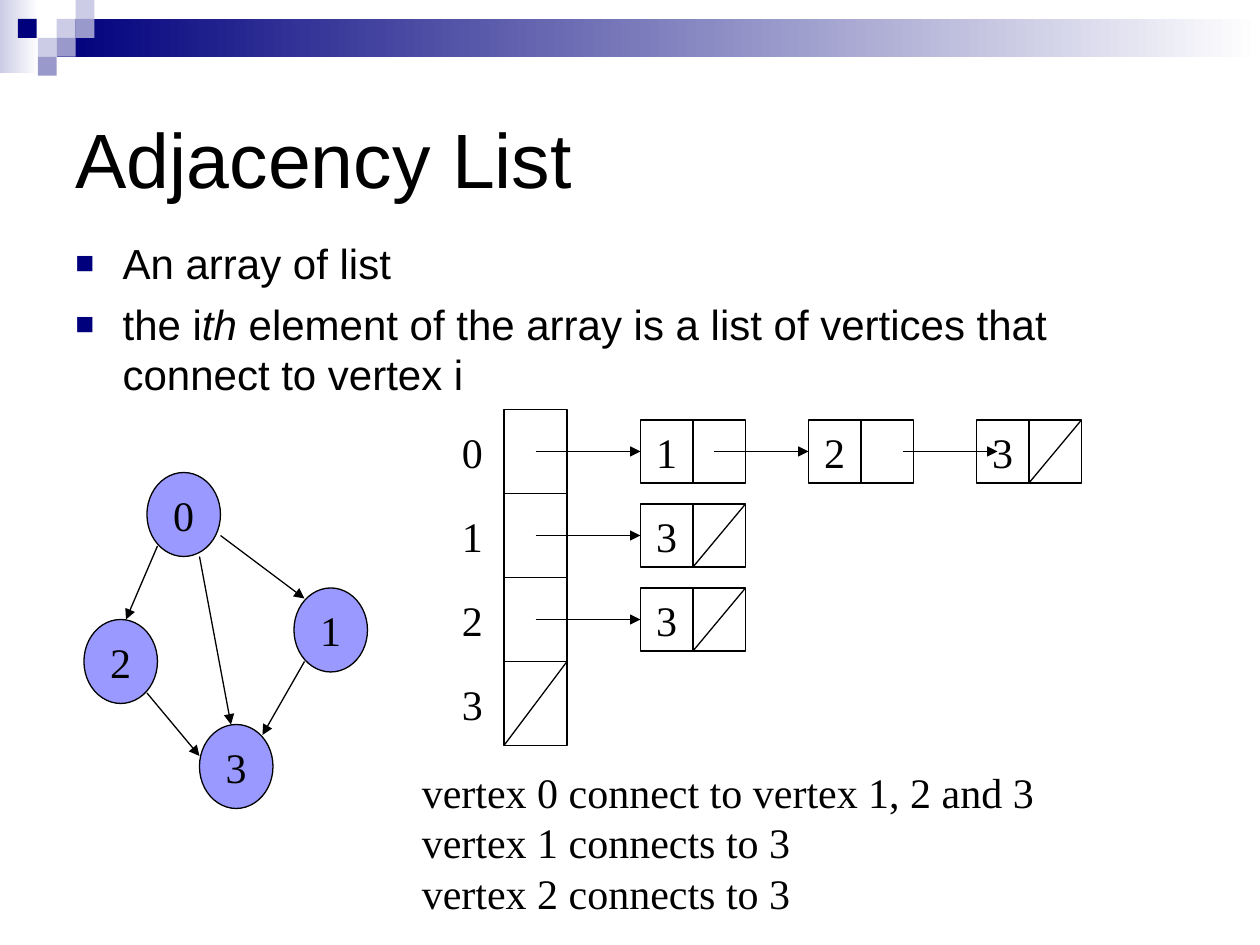
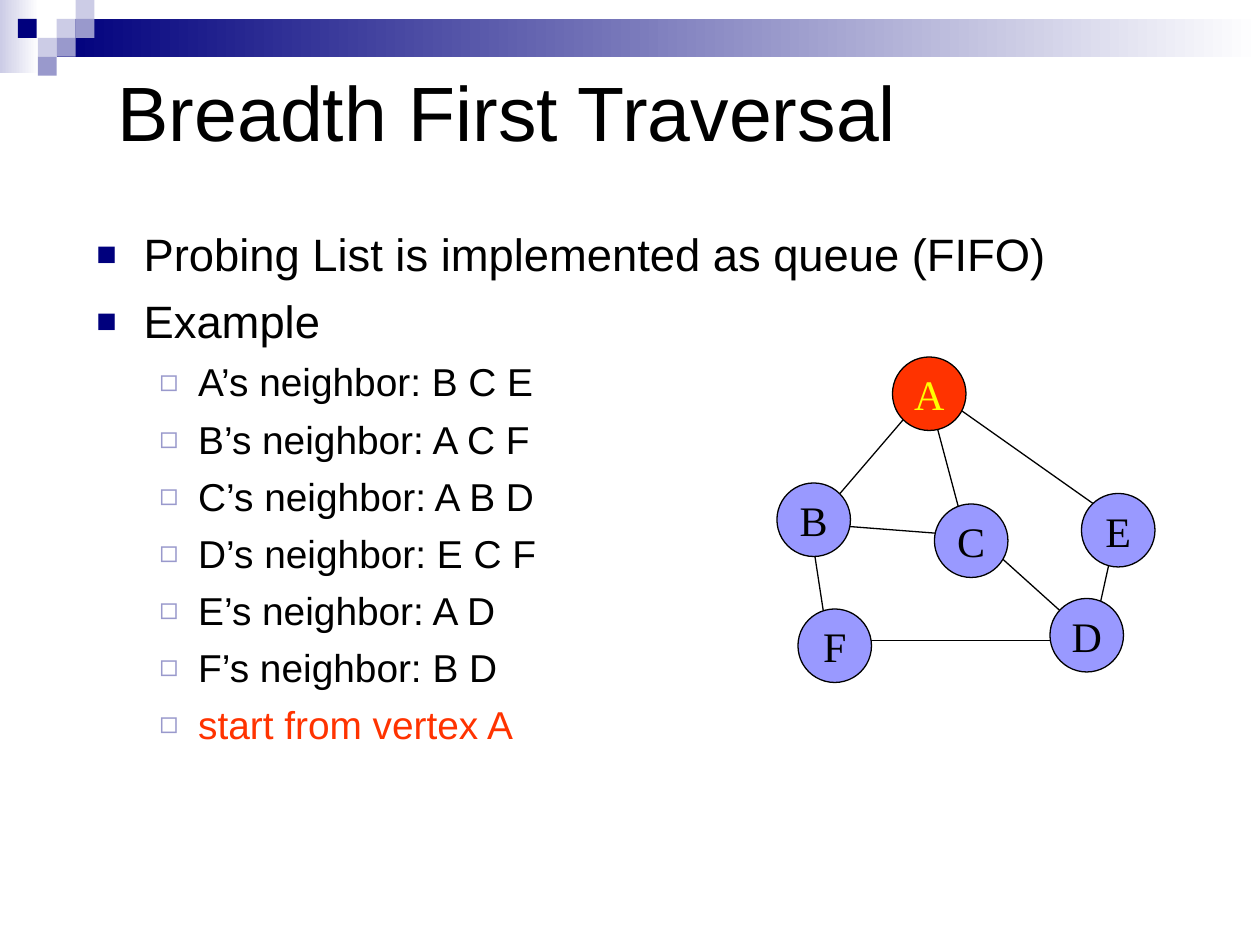
from dataclasses import dataclass

from lxml import etree
from pptx import Presentation
from pptx import util as u
from pptx.dml.color import RGBColor
from pptx.enum import shapes, text
from pptx.oxml import ns

PX = u.Inches(1) // 120  # 120 px to the inch


# Theme
@dataclass(frozen=True)
class Theme:
    ink: str = "000000"
    paper: str = "FFFFFF"
    navy: str = "00007D"
    mid: str = "9999CC"
    pale: str = "CCCCE6"
    vertex: str = "9999FF"
    accent: str = "FF3300"
    glow: str = "FFFF00"
    sans: str = "Arial"
    serif: str = "Times New Roman"
    title: float = 44
    body: float = 24
    large: float = 25.9
    sub: float = 22.2
    line: float = 0.75
    leading: float = 1.2


T = Theme()


@dataclass(frozen=True)
class Bullet:
    char: str
    color: str
    percent: int
    margin: int
    hang: int


MAIN = Bullet("■", T.navy, 75, 45, 45)
SUB = Bullet("◻", T.mid, 80, 97, 37)


def px(*values):
    return [v * PX for v in values]


def rgb(color):
    return RGBColor.from_string(color)


def sub_element(parent, tag, **attrs):
    return etree.SubElement(parent, ns.qn(tag), attrs)


# Text
def add_bullet(p, bullet):
    pPr = p._p.get_or_add_pPr()
    pPr.set("marL", str(bullet.margin * PX))
    pPr.set("indent", str(-bullet.hang * PX))
    color = sub_element(pPr, "a:buClr")
    sub_element(color, "a:srgbClr", val=bullet.color)
    sub_element(pPr, "a:buSzPct", val=str(bullet.percent * 1000))
    sub_element(pPr, "a:buFont", typeface=T.sans)
    sub_element(pPr, "a:buChar", char=bullet.char)


def write(tf, content, size=T.body, font=T.sans, color=T.ink,
          align=text.PP_ALIGN.LEFT, bullet=None, before=0):
    """Add one paragraph; asterisks enclose italic words."""
    first = not tf.paragraphs[0].runs
    p = tf.paragraphs[0] if first else tf.add_paragraph()
    if bullet:
        add_bullet(p, bullet)
    p.alignment = align
    p.line_spacing = u.Pt(size * T.leading)
    p.space_before = u.Pt(0 if first else before)
    for i, piece in enumerate(content.split("*")):
        r = p.add_run()
        r.text = piece
        r.font.size = u.Pt(size)
        r.font.name = font
        r.font.color.rgb = rgb(color)
        r.font.italic = i % 2 == 1


def add_textbox(s, box):
    tf = s.shapes.add_textbox(*px(*box)).text_frame
    tf.word_wrap = True
    return tf


def write_symbol(tf, symbol, color=T.ink):
    tf.word_wrap = False
    tf.vertical_anchor = text.MSO_ANCHOR.MIDDLE
    write(tf, symbol, font=T.serif, color=color, align=text.PP_ALIGN.CENTER)


# Shapes and lines
def add_box(s, box, fill=None, line=T.ink, kind=shapes.MSO_SHAPE.RECTANGLE):
    sp = s.shapes.add_shape(kind, *px(*box))
    sp.shadow.inherit = False
    if fill:
        sp.fill.solid()
        sp.fill.fore_color.rgb = rgb(fill)
    else:
        sp.fill.background()
    if line:
        sp.line.color.rgb = rgb(line)
        sp.line.width = u.Pt(T.line)
    else:
        sp.line.fill.background()
    return sp


def add_fade(s, box, color):
    sp = add_box(s, box, line=None)
    sp.fill.gradient()
    sp.fill.gradient_angle = 0
    for stop, stop_color in zip(sp.fill.gradient_stops, (color, T.paper)):
        stop.color.rgb = rgb(stop_color)


def add_line(s, ends, arrow=False):
    c = s.shapes.add_connector(shapes.MSO_CONNECTOR.STRAIGHT, *px(*ends))
    c.line.color.rgb = rgb(T.ink)
    c.line.width = u.Pt(T.line)
    if arrow:
        sub_element(c.line._get_or_add_ln(), "a:tailEnd", type="triangle")
    sub_element(c._element.spPr, "a:effectLst")


def add_vertex(s, name, box, fill=T.vertex, color=T.ink):
    sp = add_box(s, box, fill, kind=shapes.MSO_SHAPE.OVAL)
    write_symbol(sp.text_frame, name, color)


# Shared slide frame
def add_slide(prs, title, title_box):
    s = prs.slides.add_slide(prs.slide_layouts[5])
    add_fade(s, (0, 0, 37, 70), T.pale)
    add_fade(s, (54, 18, 1146, 36), T.navy)
    for x, y, color in ((54, 18, T.pale), (72, 0, T.pale), (72, 18, T.mid),
                        (36, 36, T.pale), (17, 18, T.navy), (54, 36, T.mid),
                        (36, 54, T.mid)):
        add_box(s, (x, y, 18, 18), color, line=None)
    sp = s.shapes.title
    sp.left, sp.top, sp.width, sp.height = px(*title_box)
    tf = sp.text_frame
    tf.auto_size = text.MSO_AUTO_SIZE.NONE
    tf.vertical_anchor = text.MSO_ANCHOR.MIDDLE
    write(tf, title, size=T.title)
    return s


# Array of linked lists
def add_adjacency_list(s, rows):
    pitch, array_x, list_x, cell_w, cell_h = 80, 480, 610, 50, 60
    links = ((510, 610), (680, 770), (860, 950))
    for i, neighbors in enumerate(rows):
        top = 390 + pitch * i
        add_box(s, (array_x, top, 60, pitch))
        write_symbol(add_textbox(s, (array_x - 60, top, 60, pitch)), str(i))
        if not neighbors:
            add_line(s, (array_x + 60, top, array_x, top + pitch))
            continue
        y = top + 10
        for j, neighbor in enumerate(neighbors):
            x = list_x + 160 * j
            value = add_box(s, (x, y, cell_w, cell_h))
            write_symbol(value.text_frame, neighbor)
            add_box(s, (x + cell_w, y, cell_w, cell_h))
            start, end = links[j]
            add_line(s, (start, top + 40, end, top + 40), arrow=True)
        add_line(s, (x + 2 * cell_w, y, x + cell_w, y + cell_h))


def adjacency_slide(prs):
    s = add_slide(prs, "Adjacency List", (60, 60, 1080, 180))
    tf = add_textbox(s, (60, 220, 1080, 510))
    for item in ("An array of list",
                 "the i*th* element of the array is a list of vertices "
                 "that connect to vertex i"):
        write(tf, item, bullet=MAIN, before=6)

    # Directed graph
    for name, x, y in (("0", 140, 450), ("1", 280, 560),
                       ("3", 190, 690), ("2", 80, 590)):
        add_vertex(s, name, (x, y, 70, 80))
    for ends in ((150, 520, 120, 590), (140, 660, 190, 720),
                 (210, 510, 290, 570), (290, 630, 250, 700),
                 (190, 530, 220, 690)):
        add_line(s, ends, arrow=True)

    add_adjacency_list(s, ("123", "3", "3", ""))
    tf = add_textbox(s, (390, 724, 780, 156))
    for note in ("vertex 0 connect to vertex 1, 2 and 3",
                 "vertex 1 connects to 3", "vertex 2 connects to 3"):
        write(tf, note, font=T.serif)


def traversal_slide(prs):
    s = add_slide(prs, "Breadth First Traversal", (100, 30, 1020, 150))
    tf = add_textbox(s, (80, 210, 980, 580))
    for item in ("Probing List is implemented as queue (FIFO)", "Example"):
        write(tf, item, size=T.large, bullet=MAIN, before=7)
    neighbors = {"A": "B C E", "B": "A C F", "C": "A B D",
                 "D": "E C F", "E": "A D", "F": "B D"}
    for name, others in neighbors.items():
        write(tf, f"{name}’s neighbor: {others}", size=T.sub, bullet=SUB,
              before=6)
    write(tf, "start from vertex A", size=T.sub, color=T.accent, bullet=SUB,
          before=6)

    # Undirected graph, edges behind vertices
    for ends in ((790, 500, 920, 510), (860, 400, 800, 470),
                 (880, 360, 920, 510), (900, 380, 1070, 500),
                 (770, 490, 790, 620), (1060, 520, 1040, 610),
                 (930, 510, 1030, 600), (810, 610, 1020, 610)):
        add_line(s, ends)
    add_vertex(s, "A", (850, 340, 70, 70), T.accent, T.glow)
    for name, x, y in (("B", 740, 460), ("C", 890, 480), ("E", 1030, 470),
                       ("F", 760, 580), ("D", 1000, 570)):
        add_vertex(s, name, (x, y, 70, 70))


def main():
    prs = Presentation()
    prs.slide_width, prs.slide_height = px(1200, 900)
    adjacency_slide(prs)
    traversal_slide(prs)
    prs.save("out.pptx")


if __name__ == "__main__":
    main()
